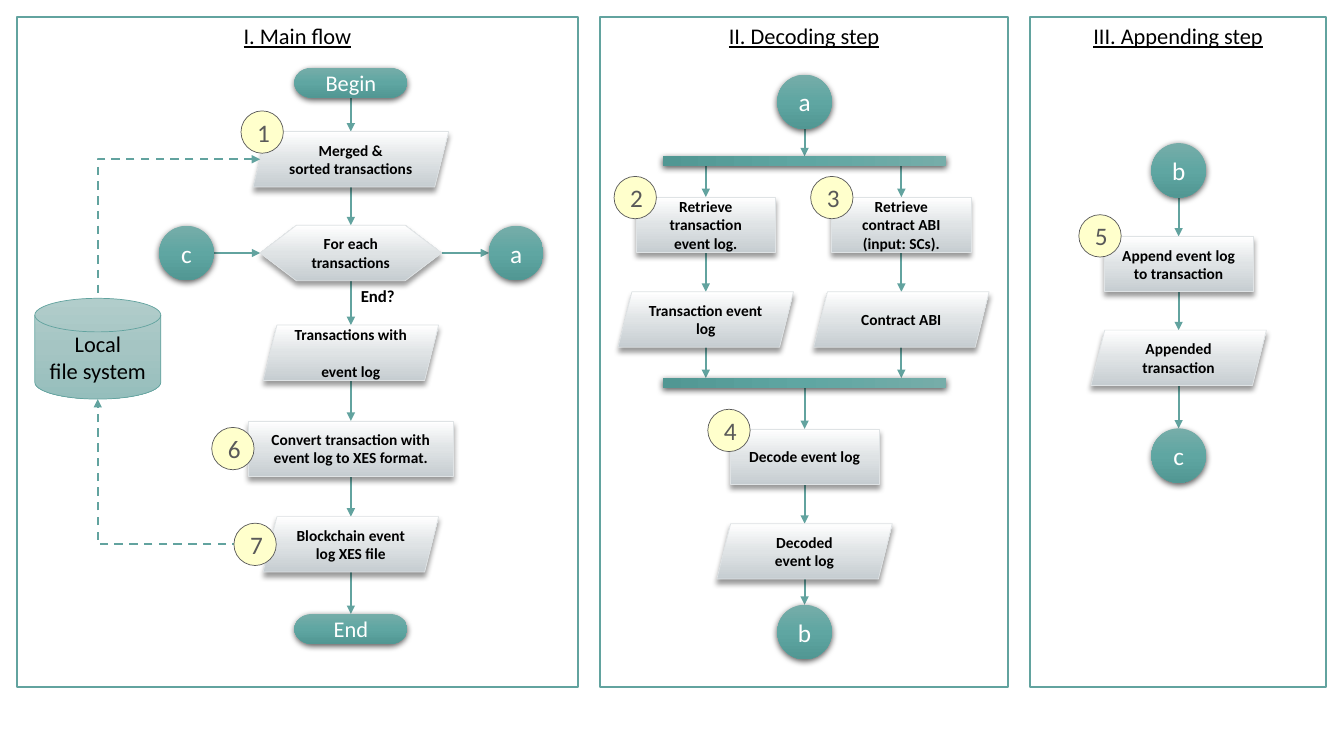
from lxml import etree
from pptx import Presentation
from pptx.dml.color import RGBColor
from pptx.enum.dml import MSO_LINE
from pptx.enum.shapes import MSO_CONNECTOR, MSO_SHAPE
from pptx.enum.text import MSO_ANCHOR, PP_ALIGN
from pptx.oxml.ns import qn
from pptx.util import Inches, Pt

STRAIGHT, ELBOW = MSO_CONNECTOR.STRAIGHT, MSO_CONNECTOR.ELBOW
RECT, OVAL = MSO_SHAPE.RECTANGLE, MSO_SHAPE.OVAL
TOP, MIDDLE = MSO_ANCHOR.TOP, MSO_ANCHOR.MIDDLE
CENTER, DASH = PP_ALIGN.CENTER, MSO_LINE.DASH

TEAL, INK = "62A39F", "000000"
MAIN, DECODE, APPEND = 3.48, 7.98, 11.69
LEFT, RIGHT = 7.0, 8.94
PANEL_TOP, PANEL_H, BADGE = 0.17, 6.65, 0.42

PANELS = [("I. Main flow", 0.17, 5.56), ("II. Decoding step", 5.95, 4.05),
          ("III. Appending step", 10.22, 2.93)]

GREY = dict(fill=("C6CDD1", "DFE3E5", "FFFFFF"), angle=90, line=("DFE3E5", 0.5),
            shadow=(40, 4, 3), font=dict(size=11, bold=True, color=INK), h=0.55)
GREEN = dict(fill=("76ADA9", "5FA6A2", "519793"), angle=270, line=None,
             shadow=(63, 4.5, 1.5), font=dict(size=18, color="FFFFFF"), h=0.54)
STYLES = {
    "step": dict(GREY, kind=RECT),
    "data": dict(GREY, kind=MSO_SHAPE.PARALLELOGRAM),
    "loop": dict(GREY, kind=MSO_SHAPE.FLOWCHART_PREPARATION),
    "link": dict(GREEN, kind=MSO_SHAPE.FLOWCHART_CONNECTOR),
    "bar": dict(GREEN, kind=RECT, h=0.1, rotation=90),
    "ends": dict(GREEN, kind=MSO_SHAPE.FLOWCHART_TERMINATOR, h=0.3,
                 font=dict(size=16, color="FFFFFF")),
    "store": dict(kind=MSO_SHAPE.FLOWCHART_MAGNETIC_DISK, h=1.0, angle=270,
                  fill=("B1CDCB", "A5C5C3", "95BEBC"), line=(TEAL, 0.5),
                  font=dict(size=16, color=INK)),
    "panel": dict(kind=RECT, fill="FFFFFF", line=(TEAL, 1.5), anchor=TOP,
                  font=dict(size=16, color=INK, underline=True)),
    "badge": dict(kind=OVAL, fill="FFFFCC", line=("595959", 0.5),
                  font=dict(size=18, color="595959")),
}

NODES = {
    "begin": ("ends", "Begin", MAIN, 0.82, 1.12),
    "merged": ("data", "Merged &\nsorted transactions", MAIN, 1.58, 1.94),
    "each": ("loop", "For each transactions", MAIN, 2.51, 1.8),
    "to a": ("link", "a", 5.12, 2.51, 0.54),
    "from c": ("link", "c", 1.85, 2.51, 0.54),
    "logged": ("data", "Transactions with\nevent log", MAIN, 3.5, 1.74),
    "convert": ("step", "Convert transaction with event log to XES format.",
                MAIN, 4.45, 2.03),
    "file": ("data", "Blockchain event log XES file", MAIN, 5.4, 1.74),
    "end": ("ends", "End", MAIN, 6.24, 1.12),
    "store": ("store", "Local\nfile system", 0.97, 3.46, 1.25),
    "a": ("link", "a", DECODE, 1.01, 0.54),
    "fork": ("bar", "", DECODE, 1.6, 2.81),
    "get log": ("step", "Retrieve transaction\nevent log.", LEFT, 2.23, 1.38),
    "get abi": ("step", "Retrieve\ncontract ABI\n(input: SCs).", RIGHT, 2.23, 1.38),
    "log": ("data", "Transaction event log", LEFT, 3.17, 1.74),
    "abi": ("data", "Contract ABI", RIGHT, 3.17, 1.74),
    "join": ("bar", "", DECODE, 3.8, 2.81),
    "decode": ("step", "Decode event log", DECODE, 4.53, 1.48),
    "decoded": ("data", "Decoded\nevent log", DECODE, 5.47, 1.74),
    "to b": ("link", "b", DECODE, 6.27, 0.54),
    "b": ("link", "b", APPEND, 1.69, 0.54),
    "append": ("step", "Append event log to transaction", APPEND, 2.62, 1.48),
    "appended": ("data", "Appended transaction", APPEND, 3.55, 1.74),
    "to c": ("link", "c", APPEND, 4.52, 0.54),
}
PARAGRAPH_GAPS = {"logged": 13}

FLOWS = [
    ("begin", "merged", "each", "logged", "convert", "file", "end"),
    ("from c", "each", "to a"),
    ("a", "fork", "get log", "log", "join", "decode", "decoded", "to b"),
    ("fork", "get abi", "abi", "join"),
    ("b", "append", "appended", "to c"),
]
FILE_LINKS = [("merged", 2.58, 1, -1, "headEnd"), ("file", 2.68, 3, 1, "tailEnd")]
BADGES = [(2.6, 1.31), (6.3, 1.96), (8.25, 1.96), (7.23, 4.27), (10.91, 2.34),
          (2.31, 4.45), (2.53, 5.4)]


def rgb(color):
    return RGBColor.from_string(color)


def child(parent, tag, **attrs):
    return etree.SubElement(parent, qn(tag), {k: str(v) for k, v in attrs.items()})


def paint(sp, fill, angle):
    if isinstance(fill, str):
        sp.fill.solid()
        sp.fill.fore_color.rgb = rgb(fill)
        return
    sp.fill.gradient()
    sp.fill.gradient_angle = angle
    stops = sp._element.spPr.find(".//" + qn("a:gsLst"))
    for stop in list(stops):
        stops.remove(stop)
    for i, color in enumerate(fill):
        child(child(stops, "a:gs", pos=i * 50000), "a:srgbClr", val=color)


def write(tf, text, font, align=CENTER, gap=0):
    for i, line in enumerate(text.split("\n")):
        p = tf.add_paragraph() if i else tf.paragraphs[0]
        p.alignment = align
        p.space_before = Pt(gap if i else 0)
        r = p.add_run()
        r.text = line
        values = dict(font, name="Calibri", size=Pt(font["size"]))
        r.font.color.rgb = rgb(values.pop("color"))
        for name, value in values.items():
            setattr(r.font, name, value)


def add_node(style, text, cx, cy, w, h=None, gap=0):
    s = STYLES[style]
    h = h or s.get("h", w)
    turn = s.get("rotation", 0)
    if turn:
        w, h = h, w
    sp = slide.shapes.add_shape(s["kind"], Inches(cx - w / 2), Inches(cy - h / 2),
                                Inches(w), Inches(h))
    sp.rotation = turn
    sp.shadow.inherit = False
    paint(sp, s["fill"], s.get("angle"))
    if s["line"]:
        sp.line.color.rgb = rgb(s["line"][0])
        sp.line.width = Pt(s["line"][1])
    else:
        sp.line.fill.background()
    if "shadow" in s:
        alpha, blur, dist = s["shadow"]
        effects = sp._element.spPr.find(qn("a:effectLst"))
        shadow = child(effects, "a:outerShdw", blurRad=Pt(blur), dist=Pt(dist),
                       dir=90 * 60000, rotWithShape=0)
        child(child(shadow, "a:srgbClr", val=INK), "a:alpha", val=alpha * 1000)
    if text:
        sp.text_frame.word_wrap = True
        sp.text_frame.vertical_anchor = s.get("anchor", MIDDLE)
        write(sp.text_frame, text, s["font"], gap=gap)
    return sp


def add_arrow(kind, x1, y1, x2, y2, head="tailEnd"):
    cx = slide.shapes.add_connector(kind, *map(Inches, (x1, y1, x2, y2)))
    cx.line.color.rgb = rgb(TEAL)
    cx.line.width = Pt(1.5)
    if kind == ELBOW:
        cx.line.dash_style = DASH
    child(cx.line._get_or_add_ln(), "a:" + head, type="triangle")
    child(cx._element.spPr, "a:effectLst")
    return cx


def join_nodes(start, end):
    (s1, _, x1, y1, w1), (s2, _, x2, y2, w2) = NODES[start], NODES[end]
    if y1 == y2:
        add_arrow(STRAIGHT, x1 + w1 / 2, y1, x2 - w2 / 2, y2)
    else:
        x = x1 if w1 < w2 else x2
        add_arrow(STRAIGHT, x, y1 + STYLES[s1]["h"] / 2, x, y2 - STYLES[s2]["h"] / 2)


prs = Presentation()
prs.slide_width, prs.slide_height = Inches(13.33), Inches(7.5)
slide = prs.slides.add_slide(prs.slide_layouts[6])

for title, left, width in PANELS:
    add_node("panel", title, left + width / 2, PANEL_TOP + PANEL_H / 2, width, PANEL_H)
for flow in FLOWS:
    for start, end in zip(flow, flow[1:]):
        join_nodes(start, end)
shapes = {key: add_node(*node, gap=PARAGRAPH_GAPS.get(key, 0))
          for key, node in NODES.items()}

_, _, store_x, store_y, _ = NODES["store"]
for key, x, site, side, head in FILE_LINKS:
    y, store_edge = NODES[key][3], store_y + side * STYLES["store"]["h"] / 2
    cx = add_arrow(ELBOW, x, y, store_x, store_edge, head)
    cx._element.spPr.find(qn("a:prstGeom")).set("prst", "bentConnector2")
    cx.begin_connect(shapes[key], 2)
    cx.end_connect(shapes["store"], site)
    cx.begin_x, cx.begin_y = Inches(x), Inches(y)
    cx.end_x, cx.end_y = Inches(store_x), Inches(store_edge)

tb = slide.shapes.add_textbox(Inches(MAIN), Inches(2.79), Inches(0.54), Inches(0.3))
tb.text_frame.word_wrap = False
write(tb.text_frame, "End?", dict(size=12, bold=True, color=INK), PP_ALIGN.LEFT)
for number, (x, y) in enumerate(BADGES, 1):
    add_node("badge", str(number), x, y, BADGE)

prs.save("out.pptx")
